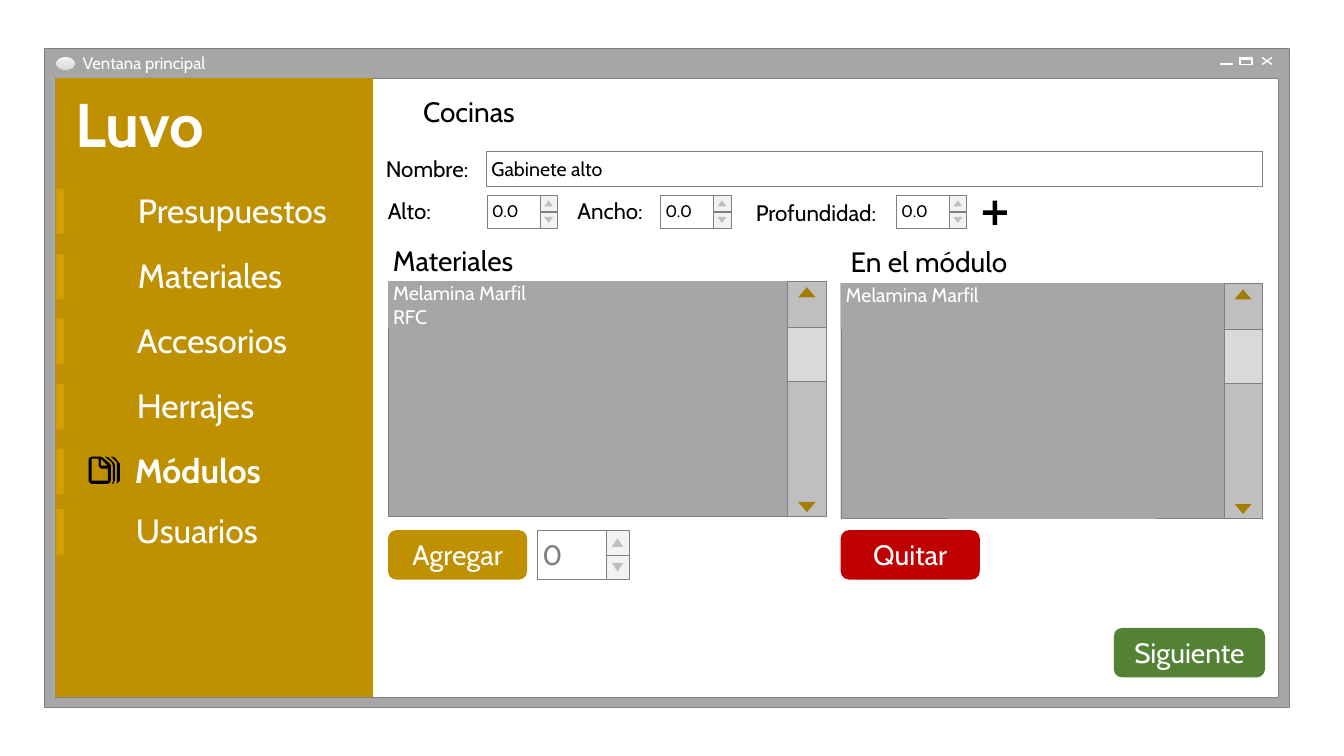
from lxml.etree import SubElement
from pptx import Presentation
from pptx.dml.color import RGBColor
from pptx.enum.shapes import MSO_CONNECTOR, MSO_SHAPE
from pptx.enum.text import MSO_ANCHOR, PP_ALIGN
from pptx.oxml.ns import qn
from pptx.util import Inches, Pt

# The grid has ten columns and ten rows to the inch.
CELL = Inches(0.1)
WHITE, BLACK, BORDER = "FFFFFF", "000000", "808080"
GREY, GOLD, ARROW_GOLD = "A6A6A6", "BF9000", "A47D00"
RECT, TRIANGLE = MSO_SHAPE.RECTANGLE, MSO_SHAPE.ISOSCELES_TRIANGLE

deck = Presentation()
deck.slide_width, deck.slide_height = round(133.33 * CELL), 75 * CELL
page = deck.slides.add_slide(deck.slide_layouts[6])


def paint(fill, colors):
    """Fill with no colour, one colour, or a vertical gradient of two, as hex strings."""
    stops = [RGBColor.from_string(color) for color in colors.split()]
    if not stops:
        fill.background()
    elif len(stops) == 1:
        fill.solid()
        fill.fore_color.rgb = stops[0]
    else:
        fill.gradient()
        fill.gradient_angle = 270
        for stop, color in zip(fill.gradient_stops, stops):
            stop.color.rgb = color


def add_box(place, kind=RECT, fill="", line="", weight=0.25, text="", size=24,
            color=WHITE, bold=False, inset=1, top=0.2,
            anchor=MSO_ANCHOR.MIDDLE, align=PP_ALIGN.LEFT):
    """Put a shape at place: column, row, width and height in grid cells."""
    box = page.shapes.add_shape(kind, *[round(cells * CELL) for cells in place])
    box.shadow.inherit = False
    paint(box.fill, fill)
    paint(box.line.fill, line)
    if line:
        box.line.width = Pt(weight)
    if text:
        frame = box.text_frame
        frame_format = {
            "word_wrap": False, "vertical_anchor": anchor,
            "margin_left": round(inset * CELL), "margin_right": round(inset * CELL),
            "margin_top": round(top * CELL), "margin_bottom": round(0.3 * CELL),
        }
        for name, value in frame_format.items():
            setattr(frame, name, value)
        frame.text = text
        for para in frame.paragraphs:
            para.alignment = align
            for name, value in {"name": "Cabin", "size": Pt(size), "bold": bold}.items():
                setattr(para.font, name, value)
            for span in para.runs:
                paint(span.font.fill, color)
    return box


# Window frame and title bar
add_box((4.4, 4.8, 123.5, 65.4), fill=GREY, line=BORDER)
add_box((5.45, 7.75, 121.4, 61.4), fill=WHITE, line=BORDER)
add_box((7.7, 5, 14.3, 2.5), text="Ventana principal", size=12, inset=0.5)
add_box((5.5, 5.6, 2, 1.4), MSO_SHAPE.OVAL, fill="F2F2F2 D9D9D9", line=BORDER)
for start_row, end_row in ((5.7, 6.4), (6.4, 5.7)):
    stroke = page.shapes.add_connector(
        MSO_CONNECTOR.STRAIGHT,
        *[round(cells * CELL) for cells in (125.2, start_row, 126.2, end_row)])
    paint(stroke.line.fill, WHITE)
    stroke.line.width = Pt(1)
    SubElement(stroke._element.spPr, qn("a:effectLst"))
add_box((123, 5.7, 1.2, 0.7), line=WHITE, weight=1)
for column, row in ((123, 5.8), (121, 6.3)):
    add_box((column, row, 1.2, 0.1), fill="919191", line=WHITE)

# Side menu
add_box((5.5, 7.75, 31.5, 61.4), fill=GOLD)
add_box((6.5, 8.3, 15.9, 7.9), text="Luvo", size=44, bold=True)
menu = [
    ("Presupuestos", 12.7, 18.6, 21.7),
    ("Materiales", 12.7, 25.1, 17.3),
    ("Accesorios", 12.6, 31.5, 17.9),
    ("Herrajes", 12.6, 38, 14.2),
    ("Módulos", 12.4, 44.4, 15.9),
    ("Usuarios", 12.5, 50.4, 14.8),
]
for label, column, row, width in menu:
    add_box((5.6, row + 0.1, 0.8, 4.5), fill="D2A000")
    add_box((column, row, width, 4.5), text=label, bold=label == "Módulos")

# Stacked-pages icon, in tenths of a cell
page_outlines = [
    [(88, 455), (89, 454), (91, 453), (100, 453), (102, 454), (109, 460), (110, 462),
     (110, 477), (109, 479), (107, 480), (91, 480), (89, 479), (88, 477)],
    [(100, 455), (107, 462), (100, 462)],
    [(107, 477), (91, 477), (91, 455), (98, 455), (98, 462), (100, 465), (107, 465)],
    [(104, 453), (105, 453), (108, 454), (113, 459), (114, 461), (114, 477),
     (112, 480), (111, 480), (112, 478), (112, 462), (111, 459)],
    [(110, 453), (111, 453), (114, 454), (118, 459), (119, 460), (119, 477),
     (116, 480), (116, 459)],
]
builder = page.shapes.build_freeform(*page_outlines[0][0], scale=CELL / 10)
for outline in page_outlines:
    builder.move_to(*outline[0])
    builder.add_line_segments(outline[1:], close=True)
icon = builder.convert_to_shape()
icon.shadow.inherit = False
paint(icon.fill, BLACK)
paint(icon.line.fill, "")

# Headings and field labels
labels = [
    ("Cocinas", 20, (41, 9.1, 11.6, 3.9)),
    ("Materiales", 20, (38, 23.9, 14.8, 3.9)),
    ("En el módulo", 20, (83.4, 24, 18.4, 3.9)),
    ("Nombre:", 16, (37.3, 15.2, 10.7, 3.2)),
    ("Alto:", 16, (37.5, 19.3, 6.6, 3.2)),
    ("Ancho:", 16, (56.3, 19.3, 8.8, 3.2)),
    ("Profundidad:", 16, (74, 19.5, 14.7, 3.2)),
]
for label, size, place in labels:
    add_box(place, text=label, size=size, color=BLACK)
add_box((48.25, 15, 77, 3.5), fill=WHITE, line=BORDER,
        text="Gabinete alto", size=14, color=BLACK, inset=0.5)

# Lists with scroll bars
for column, row, width, items in ((38.5, 27.9, 43.5, "Melamina Marfil\nRFC"),
                                  (83.4, 28.1, 41.8, "Melamina Marfil")):
    bar_width = 0.09 * width
    bar = column + width - bar_width
    add_box((column, row, width, 23.3), fill=GREY, line=BORDER)
    add_box((column, row, width, 4.6), fill=GREY, text=items, size=14,
            inset=0.5, top=0, anchor=MSO_ANCHOR.TOP)
    add_box((bar, row, bar_width, 23.3), fill="BFBFBF", line=BORDER)
    add_box((bar, row + 4.6, bar_width, 5.3), fill="D9D9D9", line=BORDER)
    for offset, angle in ((0.6, 0), (21.9, 180)):
        arrow = add_box((bar + 0.28 * bar_width, row + offset, 0.44 * bar_width, 1),
                        TRIANGLE, fill=ARROW_GOLD)
        arrow.rotation = angle

# Number fields with step buttons
spinners = [
    (48.3, 19.35, 7, 3.3, "0.0", 12, BLACK),
    (65.5, 19.35, 7, 3.3, "0.0", 12, BLACK),
    (88.9, 19.35, 7, 3.3, "0.0", 12, BLACK),
    (53.3, 52.6, 9.1, 4.9, "0", 20, BORDER),
]
for column, row, width, height, number, size, color in spinners:
    add_box((column, row, width, height), fill=WHITE, line=BORDER,
            text=number, size=size, color=color, inset=0.5)
    step_width, step_height = width / 4, height / 2
    step = column + width - step_width
    for step_row, angle in ((row + step_height, 180), (row, 0)):
        add_box((step, step_row, step_width, step_height), fill="F2F2F2", line=BORDER)
        arrow = add_box((step + step_width / 4, step_row + 0.32 * step_height,
                         step_width / 2, 0.36 * step_height), TRIANGLE, fill="BFBFBF")
        arrow.rotation = angle

plus = add_box((97.5, 19.9, 2.4, 2.4), MSO_SHAPE.CROSS, fill=BLACK)
plus.adjustments[0] = 0.41

# Buttons
for label, fill, column, row, width in (("Quitar", "C00000", 83.4, 52.6, 13.8),
                                        ("Agregar", GOLD, 38.5, 52.6, 13.8),
                                        ("Siguiente", "548235", 110.5, 62.3, 15)):
    add_box((column, row, width, 4.9), MSO_SHAPE.ROUNDED_RECTANGLE, fill=fill,
            text=label, size=20, align=PP_ALIGN.CENTER)

deck.save("out.pptx")
